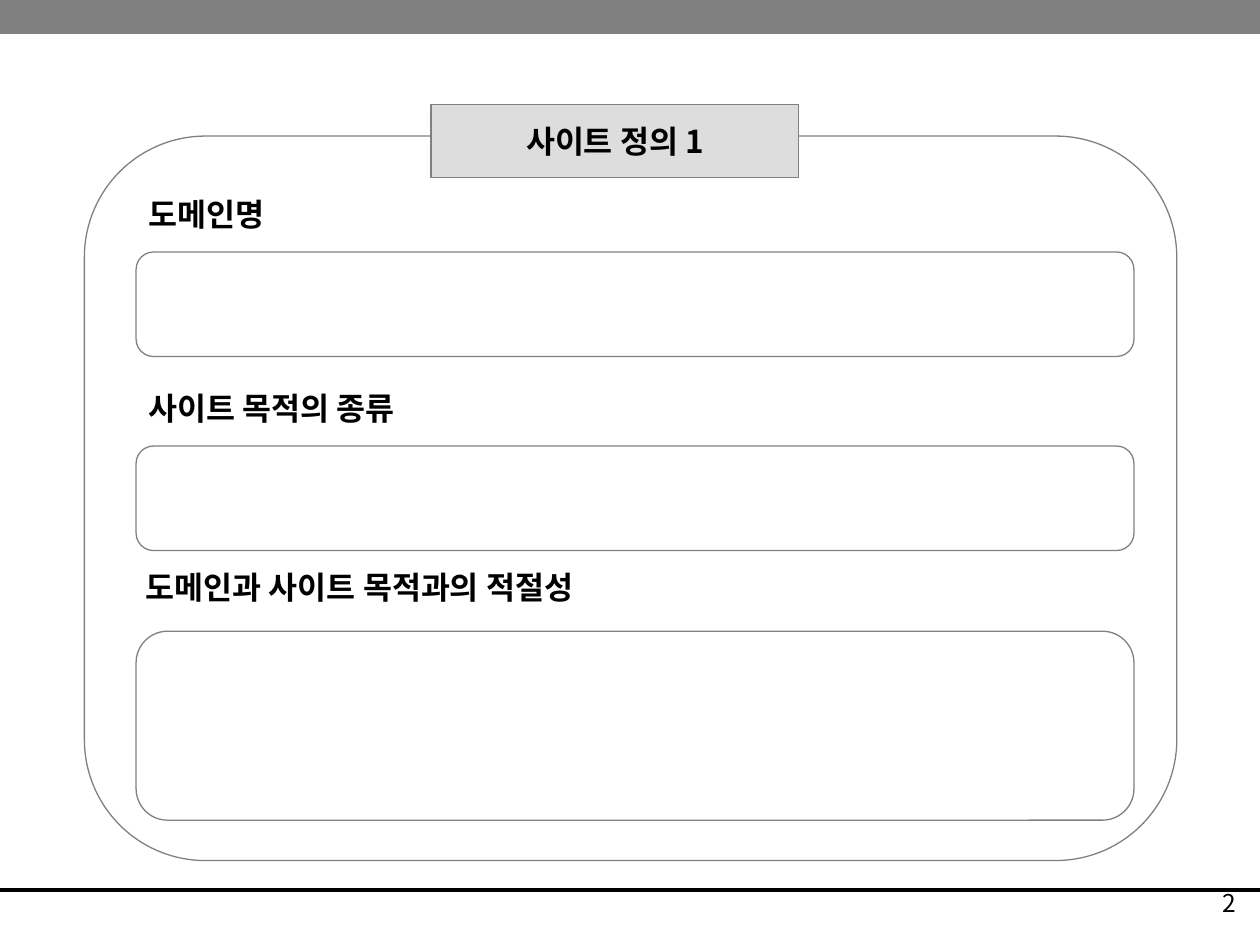
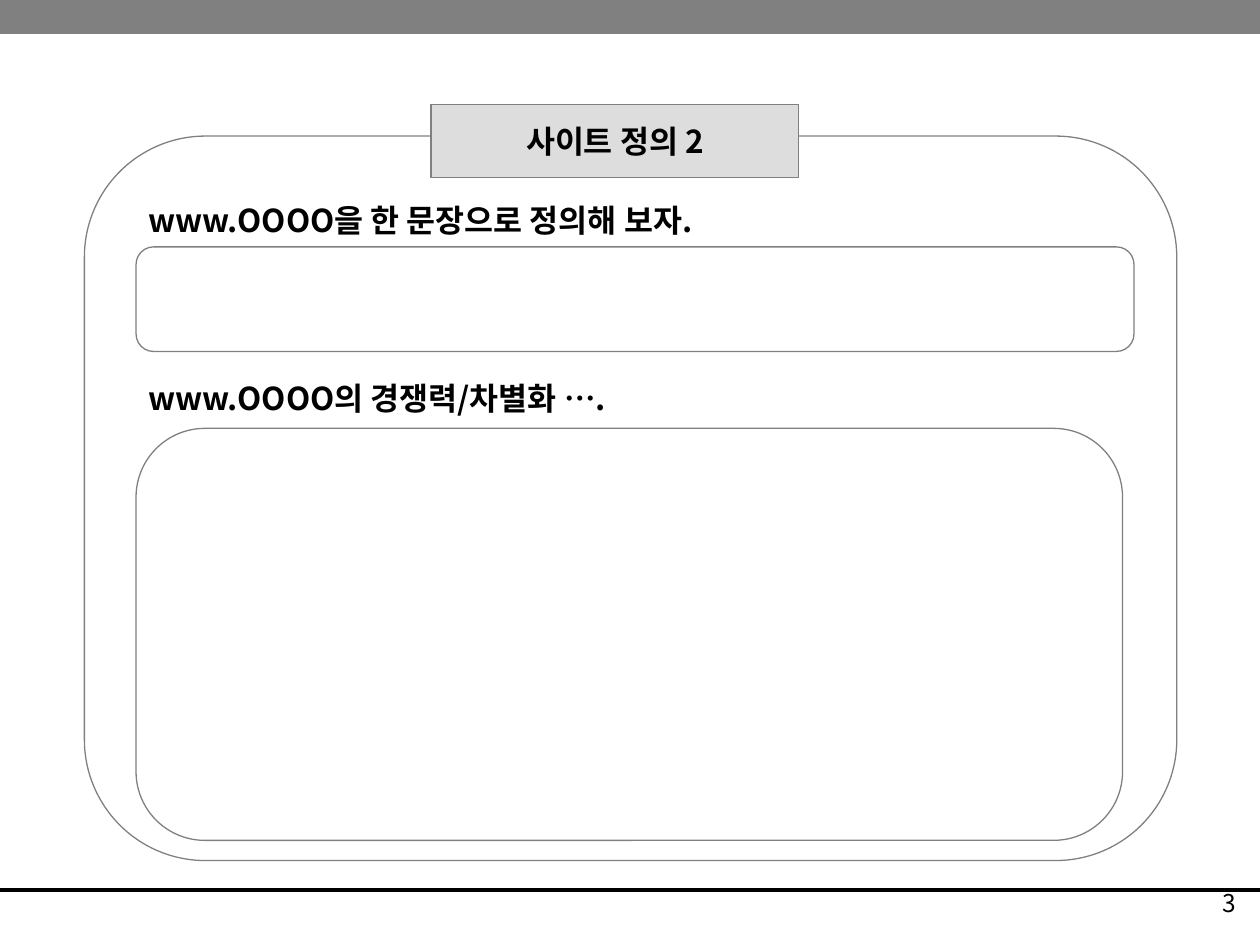
from dataclasses import dataclass

from lxml import etree
from pptx import Presentation
from pptx.dml.color import RGBColor
from pptx.enum.shapes import MSO_CONNECTOR, MSO_SHAPE
from pptx.enum.text import MSO_ANCHOR, MSO_AUTO_SIZE, PP_ALIGN
from pptx.oxml.ns import qn
from pptx.util import Inches, Pt

RECT, ROUNDED = MSO_SHAPE.RECTANGLE, MSO_SHAPE.ROUNDED_RECTANGLE
STRAIGHT = MSO_CONNECTOR.STRAIGHT
LEFT, CENTER, RIGHT = PP_ALIGN.LEFT, PP_ALIGN.CENTER, PP_ALIGN.RIGHT
MIDDLE = MSO_ANCHOR.MIDDLE
GROW = MSO_AUTO_SIZE.SHAPE_TO_FIT_TEXT

WORKSHEETS = [
    {
        "title": "사이트 정의 1",
        "page": 2,
        "questions": [
            {"label": "도메인명", "label_at": (1.08, 1.5), "answer": (2, 7.92, 0.83)},
            {"label": "사이트 목적의 종류", "label_at": (1.08, 3.04), "answer": (3.54, 7.92, 0.83)},
            {"label": "도메인과 사이트 목적과의 적절성", "label_at": (1.06, 4.46), "answer": (5.01, 7.92, 1.5)},
        ],
    },
    {
        "title": "사이트 정의 2",
        "page": 3,
        "questions": [
            {"label": "www.OOOO을 한 문장으로 정의해 보자.", "label_at": (1.08, 1.55), "answer": (1.96, 7.92, 0.83)},
            {"label": "www.OOOO의 경쟁력/차별화 ….", "label_at": (1.08, 2.96), "answer": (3.4, 7.83, 3.27)},
        ],
    },
]

SLIDE_SIZE = (10, 7.5)
BAND = (0, 0, 10.01, 0.27)
FOOTER_Y = 7.06
FRAME = (0.67, 1.08, 8.67, 5.75)
TITLE = (3.42, 0.83, 2.92, 0.58)
PAGE_NUMBER = (7.83, 7, 2.08, 0.5)
LABEL_SIZE = (5, 0.4)
ANSWER_LEFT = 1.08


@dataclass(frozen=True)
class Theme:
    font: str = "Noto Sans CJK KR"
    ink: RGBColor = RGBColor(0, 0, 0)
    gray: RGBColor = RGBColor(0x80, 0x80, 0x80)
    title_fill: RGBColor = RGBColor(0xDD, 0xDD, 0xDD)
    heading: float = 18
    page: float = 14
    label_space: float = 11.2
    outline: float = 0.75
    footer_line: float = 2.25
    corner: float = 0.167


THEME = Theme()


def inches(values):
    return [Inches(value) for value in values]


def add_box(slide, preset, area, fill=None, outlined=True):
    box = slide.shapes.add_shape(preset, *inches(area))
    box.shadow.inherit = False
    if preset == ROUNDED:
        box.adjustments[0] = THEME.corner
    if fill is None:
        box.fill.background()
    else:
        box.fill.solid()
        box.fill.fore_color.rgb = fill
    if outlined:
        box.line.color.rgb = THEME.gray
        box.line.width = Pt(THEME.outline)
    else:
        box.line.fill.background()
    return box


def write(holder, text, size, align=LEFT, bold=True):
    frame = holder.text_frame
    frame.text = text
    paragraph = frame.paragraphs[0]
    paragraph.alignment = align
    for run in paragraph.runs:
        run.font.name = THEME.font
        run.font.size = Pt(size)
        run.font.bold = bold
        run.font.color.rgb = THEME.ink
        east_asian = etree.SubElement(run.font._element, qn("a:ea"))
        east_asian.set("typeface", THEME.font)
    return frame


def add_text(slide, area, text, size, **style):
    frame = write(slide.shapes.add_textbox(*inches(area)), text, size, **style)
    frame.word_wrap = True
    return frame


def add_background(slide):
    footer = slide.shapes.add_connector(
        STRAIGHT, *inches((0, FOOTER_Y, SLIDE_SIZE[0], FOOTER_Y))
    )
    footer.line.color.rgb = THEME.ink
    footer.line.width = Pt(THEME.footer_line)
    etree.SubElement(footer._element.spPr, qn("a:effectLst"))
    add_box(slide, RECT, BAND, THEME.gray, outlined=False)


def add_question(slide, question):
    top, width, height = question["answer"]
    add_box(slide, ROUNDED, (ANSWER_LEFT, top, width, height))
    label = add_text(
        slide, question["label_at"] + LABEL_SIZE, question["label"], THEME.heading
    )
    label.auto_size = GROW
    label.paragraphs[0].space_before = Pt(THEME.label_space)


def add_worksheet(deck, worksheet):
    slide = deck.slides.add_slide(deck.slide_layouts[6])
    add_background(slide)
    for question in worksheet["questions"]:
        add_question(slide, question)
    add_box(slide, ROUNDED, FRAME)
    title = add_box(slide, RECT, TITLE, THEME.title_fill)
    title_frame = write(title, worksheet["title"], THEME.heading, align=CENTER)
    title_frame.vertical_anchor = MIDDLE
    title_frame.word_wrap = False
    add_text(
        slide, PAGE_NUMBER, str(worksheet["page"]), THEME.page, align=RIGHT, bold=False
    )


def main():
    deck = Presentation()
    deck.slide_width, deck.slide_height = inches(SLIDE_SIZE)
    for worksheet in WORKSHEETS:
        add_worksheet(deck, worksheet)
    deck.save("out.pptx")


if __name__ == "__main__":
    main()
